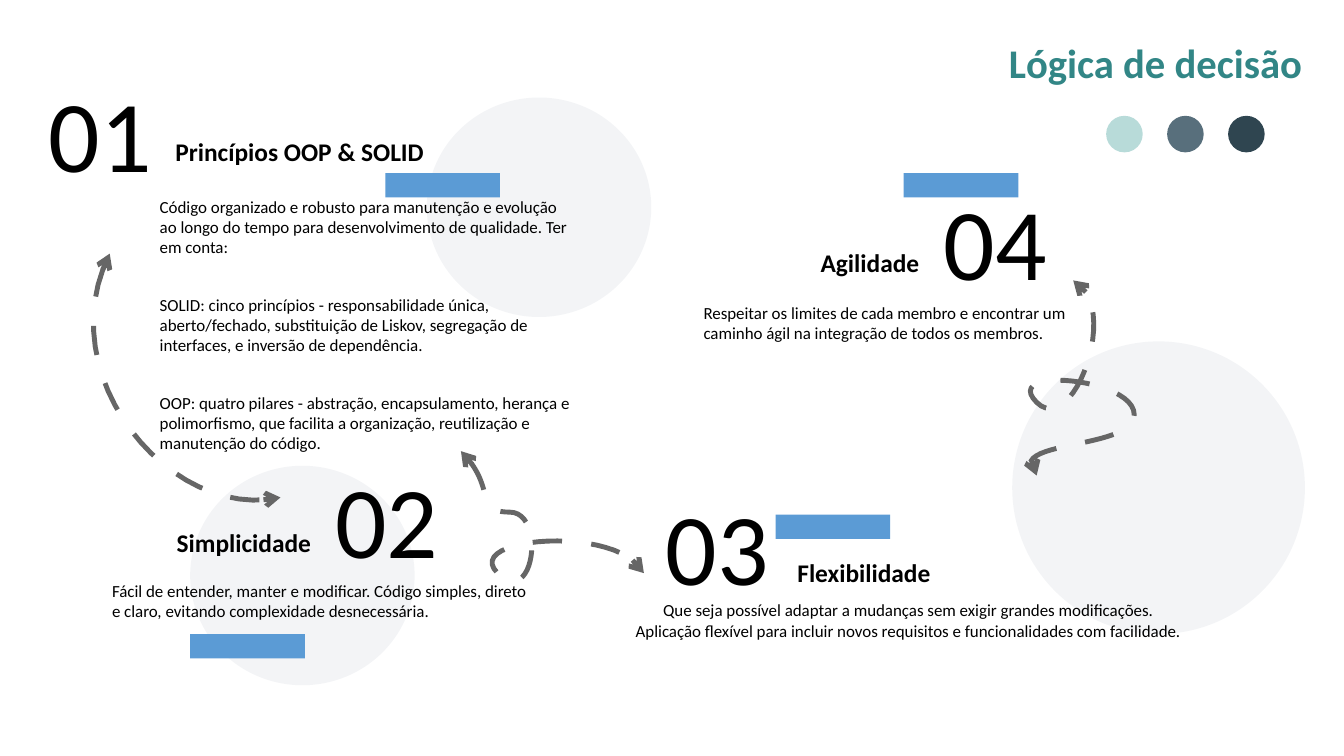
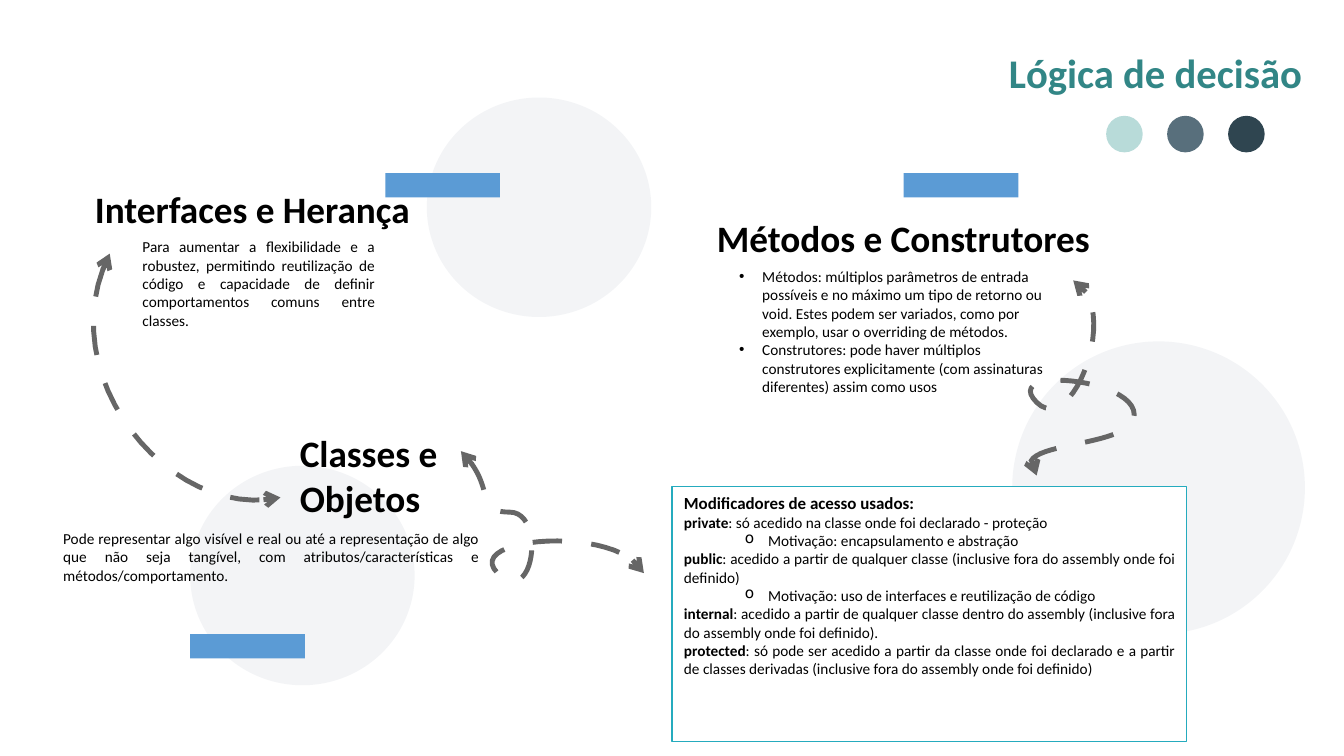
"""Builds two slides on decision logic: design principles and class design."""
from dataclasses import dataclass

from lxml import etree
from pptx import Presentation
from pptx.dml.color import RGBColor
from pptx.enum import shapes, text
from pptx.oxml import ns
from pptx.util import Inches, Pt


@dataclass(frozen=True)
class Theme:
    font: str = "Calibri"
    ink: str = "000000"
    title: str = "328686"
    band: str = "5B9BD5"
    disc: str = "8D99AE"
    arrow: str = "666666"
    frame: str = "25ABBE"
    paper: str = "FFFFFF"
    dots: tuple = ("B8DBD9", "586F7C", "2F4550")
    number_size: float = 60
    title_size: float = 24
    topic_size: float = 22
    heading_size: float = 15
    text_size: float = 10
    small_size: float = 9


theme = Theme()
LEFT, CENTER, JUSTIFY = text.PP_ALIGN.LEFT, text.PP_ALIGN.CENTER, text.PP_ALIGN.JUSTIFY


def write(frame, content, size, color=theme.ink, bold=False, align=LEFT,
          before=0, after=0, bullet=None, indent=0, lead=""):
    """Append one paragraph to a text frame, with an optional bold lead."""
    first = not frame.text
    paragraph = frame.paragraphs[0] if first else frame.add_paragraph()
    properties = paragraph._p.get_or_add_pPr()
    properties.set("marL", str(Inches(indent)))
    properties.set("indent", str(Inches(-0.19 if bullet else 0)))
    if bullet:
        etree.SubElement(properties, ns.qn("a:buChar"), char=bullet)
    else:
        etree.SubElement(properties, ns.qn("a:buNone"))
    paragraph.level = 1 if bullet == "o" else 0
    paragraph.alignment = align
    paragraph.space_before = Pt(0 if first else before)
    paragraph.space_after = Pt(after)
    for words, heavy in ((lead, True), (content, bold)):
        if words:
            run = paragraph.add_run()
            run.text = words
            run.font.name, run.font.size, run.font.bold = theme.font, Pt(size), heavy
            run.font.color.rgb = RGBColor.from_string(color)


def paint(shape, fill=None, line=None, width=0.75):
    """Set the fill and outline of a shape and drop its shadow."""
    shape.shadow.inherit = False
    for part, color in ((shape.fill, fill), (shape.line.fill, line)):
        if color:
            part.solid()
            part.fore_color.rgb = RGBColor.from_string(color)
        else:
            part.background()
    if line:
        shape.line.width = Pt(width)
    return shape


deck = Presentation()
deck.slide_width, deck.slide_height = Inches(11.02), Inches(6.2)
layout = deck.slide_layouts[1]
for footer in list(layout.placeholders):
    if footer.placeholder_format.idx >= 10:
        layout.shapes.element.remove(footer.element)
principles, classes = [deck.slides.add_slide(layout) for _ in range(2)]

# Shared decoration, moved to the layout
decoration = []
for left, top, width, height in ((8.3, 2.8, 2.4, 2.4), (3.5, 0.8, 1.84, 1.8), (1.56, 3.82, 1.84, 1.8)):
    disc = principles.shapes.add_shape(
        shapes.MSO_SHAPE.OVAL, Inches(left), Inches(top), Inches(width), Inches(height))
    paint(disc, theme.disc)
    tint = disc.element.spPr.find(".//" + ns.qn("a:srgbClr"))
    etree.SubElement(tint, ns.qn("a:alpha"), val="10000")
    decoration.append(disc)

curves = (
    ((0.9, 2.08), (0.4, 3.08), (1.4, 4.28), (2.3, 4.08)),
    ((3.78, 3.7), (4.08, 4), (3.88, 4.2), (4.18, 4.2), (4.48, 4.2), (4.38, 5), (4.08, 4.7),
     (3.78, 4.4), (5.08, 4.3), (5.28, 4.7)),
    ((8.5, 3.9), (8.2, 3.6), (9.3, 3.7), (9.3, 3.4), (9.3, 3.1), (8.2, 3), (8.5, 3.3),
     (8.8, 3.6), (9.2, 2.5), (8.8, 2.3)),
)
STEPS = 24
for curve in curves:
    points = []
    for start in range(0, len(curve) - 1, 3):
        for step in range(1, STEPS + 1):
            t = step / STEPS
            weights = ((1 - t) ** 3, 3 * t * (1 - t) ** 2, 3 * t * t * (1 - t), t ** 3)
            points.append(tuple(
                Inches(sum(w * point[axis] for w, point in zip(weights, curve[start:start + 4])))
                for axis in (0, 1)))
    outline = principles.shapes.build_freeform(Inches(curve[0][0]), Inches(curve[0][1]))
    arrow = outline.add_line_segments(points, close=False).convert_to_shape()
    paint(arrow, line=theme.arrow, width=2.89)
    stroke = arrow.element.spPr.find(ns.qn("a:ln"))
    dashes = etree.SubElement(stroke, ns.qn("a:custDash"))
    etree.SubElement(dashes, ns.qn("a:ds"), d="600000", sp="600000")
    for end in ("a:headEnd", "a:tailEnd"):
        etree.SubElement(stroke, ns.qn(end), type="arrow")
    decoration.append(arrow)

for left, top in ((7.41, 1.42), (6.36, 4.22), (1.56, 5.2), (3.16, 1.42)):
    band = principles.shapes.add_shape(
        shapes.MSO_SHAPE.RECTANGLE, Inches(left), Inches(top), Inches(0.94), Inches(0.2))
    decoration.append(paint(band, theme.band))

for order, ornament in enumerate(decoration):
    ornament.element.xpath(".//p:cNvPr")[0].set("id", str(100 + order))
    layout.shapes.element.insert(2 + order, ornament.element)

for slide, title_top in ((principles, -0.01), (classes, 0.07)):
    title = slide.shapes.title
    title.left, title.top, title.width, title.height = (
        Inches(8.27), Inches(title_top), Inches(2.41), Inches(1.04))
    frame = title.text_frame
    frame.margin_left = frame.margin_right = frame.margin_top = frame.margin_bottom = 0
    frame.vertical_anchor = text.MSO_ANCHOR.MIDDLE
    frame.auto_size = text.MSO_AUTO_SIZE.NONE
    write(frame, "Lógica de decisão", theme.title_size, theme.title, bold=True, align=CENTER)
    dots = slide.shapes.add_group_shape()
    for place, color in enumerate(theme.dots):
        dot = dots.shapes.add_shape(
            shapes.MSO_SHAPE.OVAL, Inches(9.07 + 0.5 * place), Inches(0.95), Inches(0.3), Inches(0.3))
        paint(dot, color)

number = dict(size=theme.number_size)
heading = dict(size=theme.heading_size, bold=True)
topic = dict(size=theme.topic_size, bold=True)
detail = dict(size=theme.text_size)
note = dict(size=theme.small_size, align=JUSTIFY)
boxes = (
    (principles, (1.34, 1.07, 2.26, 0.36), False, heading, "Princípios OOP & SOLID"),
    (principles, (1.35, 4.27, 1.31, 0.36), False, heading, "Simplicidade"),
    (principles, (6.63, 1.98, 1.02, 0.36), False, heading, "Agilidade"),
    (principles, (6.44, 4.52, 1.3, 0.36), False, heading, "Flexibilidade"),
    (principles, (0.3, 0.53, 1.05, 1.13), False, number, "01"),
    (principles, (2.65, 3.7, 1.05, 1.13), False, number, "02"),
    (principles, (5.36, 3.92, 1.05, 1.13), False, number, "03"),
    (principles, (7.64, 1.42, 1.05, 1.13), False, number, "04"),
    (principles, (0.82, 4.71, 3.69, 1.38), True, detail,
     "Fácil de entender, manter e modificar. Código simples, direto e claro, "
     "evitando complexidade desnecessária."),
    (principles, (5.08, 4.87, 4.73, 1.3), True, dict(detail, align=CENTER),
     "Que seja possível adaptar a mudanças sem exigir grandes modificações. "
     "Aplicação flexível para incluir novos requisitos e funcionalidades com facilidade."),
    (principles, (5.67, 2.43, 3.31, 0.61), True, detail,
     "Respeitar os limites de cada membro e encontrar um caminho ágil na integração "
     "de todos os membros."),
    (classes, (5.78, 1.72, 3.29, 0.85), False, topic, "Métodos e Construtores"),
    (classes, (0.68, 1.48, 2.81, 0.48), False, topic, "Interfaces e Herança"),
    (classes, (2.36, 3.48, 1.46, 1.14), True, topic, "Classes e Objetos"),
    (classes, (0.42, 4.29, 3.6, 1.01), True, note,
     "Pode representar algo visível e real ou até a representação de algo que não seja "
     "tangível, com atributos/características e métodos/comportamento."),
    (classes, (1.07, 1.9, 2.1, 1.31), True, note,
     "Para aumentar a flexibilidade e a robustez, permitindo reutilização de código e "
     "capacidade de definir comportamentos comuns entre classes."),
)
for slide, area, wraps, style, content in boxes:
    frame = slide.shapes.add_textbox(*map(Inches, area)).text_frame
    frame.word_wrap = wraps
    write(frame, content, **style)

lists = (
    (principles, (1.21, 1.56, 3.62, 3.15), dict(detail, before=11.9, after=9.9), (
        "Código organizado e robusto para manutenção e evolução ao longo do tempo para "
        "desenvolvimento de qualidade. Ter em conta:",
        "SOLID: cinco princípios - responsabilidade única, aberto/fechado, substituição de "
        "Liskov, segregação de interfaces, e inversão de dependência.",
        "OOP: quatro pilares - abstração, encapsulamento, herança e polimorfismo, que "
        "facilita a organização, reutilização e manutenção do código.")),
    (classes, (5.96, 2.14, 2.7, 1.63), dict(size=theme.small_size, bullet="•", indent=0.19), (
        "Métodos: múltiplos parâmetros de entrada possíveis e no máximo um tipo de retorno "
        "ou void. Estes podem ser variados, como por exemplo, usar o overriding de métodos.",
        "Construtores: pode haver múltiplos construtores explicitamente (com assinaturas "
        "diferentes) assim como usos")),
)
for slide, area, style, items in lists:
    body = slide.placeholders[1]
    body.left, body.top, body.width, body.height = map(Inches, area)
    body.text_frame.auto_size = text.MSO_AUTO_SIZE.NONE
    for item in items:
        write(body.text_frame, item, **style)

modifiers = classes.shapes.add_shape(
    shapes.MSO_SHAPE.RECTANGLE, Inches(5.51), Inches(3.99), Inches(4.22), Inches(2.09))
paint(modifiers, theme.paper, theme.frame)
frame = modifiers.text_frame
frame.word_wrap = True
frame.vertical_anchor = text.MSO_ANCHOR.TOP
write(frame, "Modificadores de acesso usados:", theme.text_size, bold=True, align=JUSTIFY)
for keyword, meaning, motive in (
    ("private", ": só acedido na classe onde foi declarado - proteção",
     "Motivação: encapsulamento e abstração"),
    ("public", ": acedido a partir de qualquer classe (inclusive fora do assembly onde foi definido)",
     "Motivação: uso de interfaces e reutilização de código"),
    ("internal", ": acedido a partir de qualquer classe dentro do assembly "
     "(inclusive fora do assembly onde foi definido).", None),
    ("protected", ": só pode ser acedido a partir da classe onde foi declarado e a partir de "
     "classes derivadas (inclusive fora do assembly onde foi definido)", None),
):
    write(frame, meaning, lead=keyword, **note)
    if motive:
        write(frame, motive, bullet="o", indent=0.69, **note)

deck.save("out.pptx")
